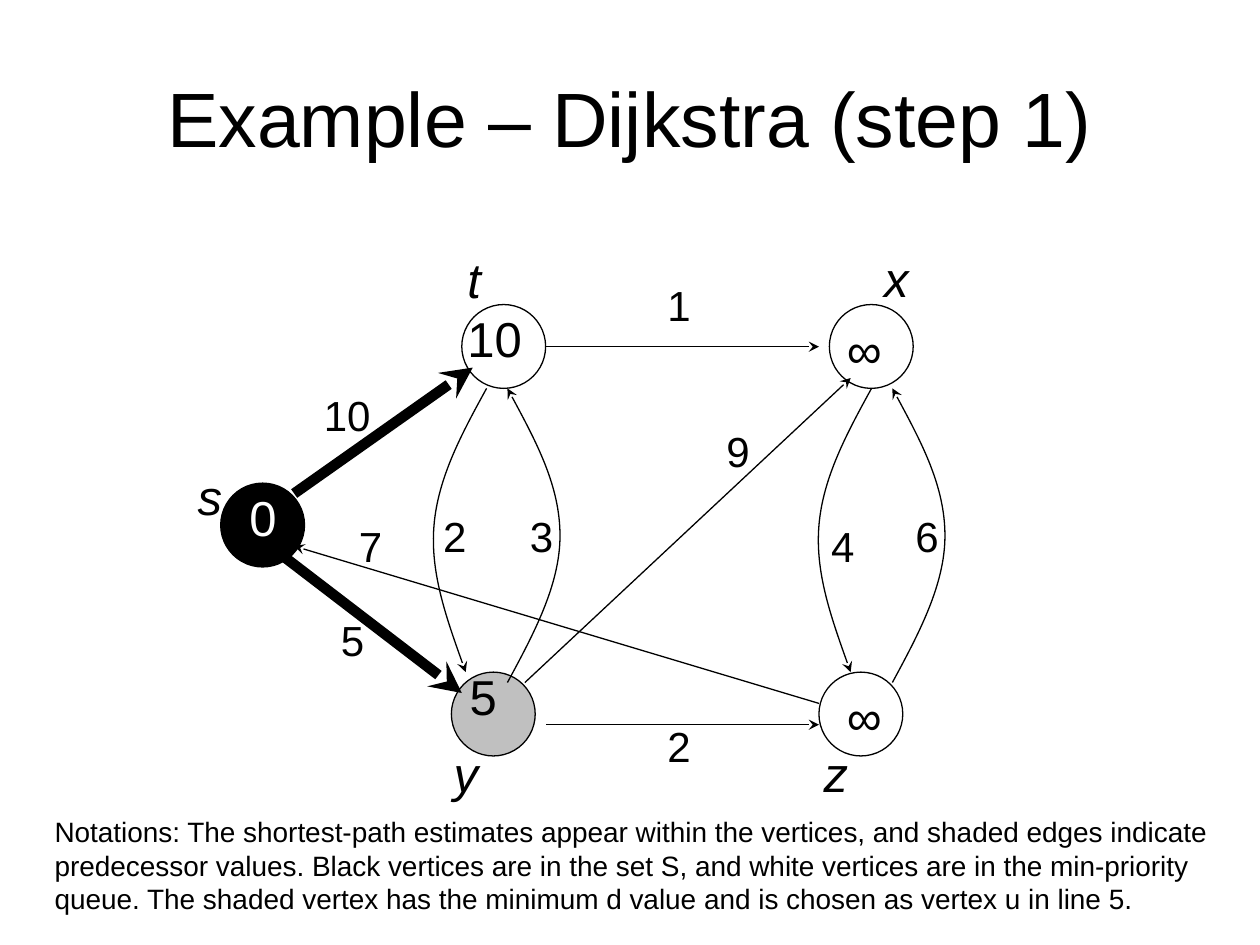
from lxml import etree
from pptx import Presentation
from pptx.dml.color import RGBColor
from pptx.enum import shapes, text
from pptx.oxml.ns import qn
from pptx.util import Cm, Pt

BLACK = RGBColor(0, 0, 0)
WHITE = RGBColor(255, 255, 255)
GREY = RGBColor(0xC0, 0xC0, 0xC0)
FONT = "Arial"
SIZE = 1.69  # vertex diameter, cm
GAP = 7.76  # from the t-y pair of arcs to the x-z pair, cm

NOTE = (
    "Notations: The shortest-path estimates appear within the vertices, and "
    "shaded edges indicate predecessor values. Black vertices are in the set S, "
    "and white vertices are in the min-priority queue. The shaded vertex has the "
    "minimum d value and is chosen as vertex u in line 5."
)
# left, top, fill
NODES = [
    (4.45, 9.74, BLACK),
    (9.31, 6.14, None),
    (9.1, 13.55, GREY),
    (16.72, 6.14, None),
    (16.51, 13.55, None),
]
# from x, from y, to x, to y, width
EDGES = [
    (5.72, 11.22, 9.31, 13.97, 6),
    (5.93, 9.95, 9.53, 7.41, 6),
    (11.01, 14.61, 16.51, 14.61, 0.75),
    (10.58, 13.76, 17.15, 7.62, 0.75),
    (16.51, 14.18, 5.93, 11.01, 0.75),
    (11.01, 6.99, 16.51, 6.99, 0.75),
]
# start point, then control, control and end point of each curve
UP = [(17.99, 13.76), (18.52, 12.78), (19.05, 11.79), (19.05, 10.8),
      (19.05, 9.8), (18.52, 8.81), (17.99, 7.83)]
DOWN = [(17.57, 7.83), (17.07, 8.74), (16.59, 9.63), (16.51, 10.59),
        (16.43, 11.53), (16.79, 12.55), (17.15, 13.55)]
# text, centre x, top
COSTS = [
    ("10", 7, 7.72), ("5", 7.11, 12.27), ("2", 9.17, 10.16),
    ("1", 13.69, 5.51), ("4", 16.99, 10.36), ("9", 14.88, 8.46),
    ("6", 18.69, 10.16), ("2", 13.69, 14.4), ("7", 7.47, 10.36),
    ("3", 10.92, 10.16),
]
NAMES = [("s", 4.23, 9.27), ("t", 9.56, 4.9), ("x", 18.07, 4.88),
         ("y", 9.39, 14.86), ("z", 16.85, 14.86)]
VALUES = [("0", 5.3, 9.7), ("10", 9.97, 6.1), ("5", 9.74, 13.31),
          ("∞", 17.36, 6.32), ("∞", 17.36, 13.72)]


def style(frame, size, color=BLACK, italic=False):
    for run in frame.paragraphs[0].runs:
        font = run.font
        font.name, font.size, font.italic = FONT, Pt(size), italic
        font.color.rgb = color


def stroke(shape, width):
    shape.line.color.rgb = BLACK
    shape.line.width = Pt(width)


def add_head(shape):
    line = shape._element.spPr.find(qn("a:ln"))
    etree.SubElement(line, qn("a:tailEnd"), type="stealth")


def add_title(slide, words):
    title = slide.shapes.title
    title.left, title.top = Cm(1.27), Cm(0.76)
    title.width, title.height = Cm(22.86), Cm(3.18)
    frame = title.text_frame
    frame.text = words
    frame.vertical_anchor = text.MSO_ANCHOR.MIDDLE
    frame.paragraphs[0].alignment = text.PP_ALIGN.CENTER
    style(frame, 44)


def add_node(slide, x, y, fill):
    node = slide.shapes.add_shape(
        shapes.MSO_SHAPE.OVAL, Cm(x), Cm(y), Cm(SIZE), Cm(SIZE))
    node.shadow.inherit = False
    if fill is None:
        node.fill.background()
    else:
        node.fill.solid()
        node.fill.fore_color.rgb = fill
    stroke(node, 0.75)


def add_edge(slide, x1, y1, x2, y2, width):
    edge = slide.shapes.add_connector(
        shapes.MSO_CONNECTOR.STRAIGHT, Cm(x1), Cm(y1), Cm(x2), Cm(y2))
    stroke(edge, width)
    add_head(edge)
    etree.SubElement(edge._element.spPr, qn("a:effectLst"))


def add_arc(slide, points, shift):
    """Draw the points as segments, then turn each three into one Bezier curve."""
    spots = [(Cm(x - shift), Cm(y)) for x, y in points]
    build = slide.shapes.build_freeform(*spots[0])
    build.add_line_segments(spots[1:], close=False)
    arc = build.convert_to_shape()
    route = next(arc._element.iter(qn("a:path")))
    steps = route.findall(qn("a:lnTo"))
    for i in range(0, len(steps), 3):
        curve = etree.SubElement(route, qn("a:cubicBezTo"))
        for step in steps[i:i + 3]:
            curve.append(step[0])
            route.remove(step)
    arc.shadow.inherit = False
    arc.fill.background()
    stroke(arc, 0.75)
    add_head(arc)


def add_label(slide, words, mid, top, size, color=BLACK, italic=False):
    wide = 0.51 + len(words) * size * 0.02
    box = slide.shapes.add_textbox(
        Cm(mid - wide / 2), Cm(top), Cm(wide), Cm(0.25 + size * 0.04))
    frame = box.text_frame
    frame.word_wrap = False
    frame.auto_size = text.MSO_AUTO_SIZE.SHAPE_TO_FIT_TEXT
    frame.text = words
    frame.paragraphs[0].alignment = text.PP_ALIGN.CENTER
    style(frame, size, color, italic)


def add_note(slide, words):
    box = slide.shapes.add_textbox(Cm(0.85), Cm(16.3), Cm(24.55), Cm(2.29))
    frame = box.text_frame
    frame.word_wrap = True
    frame.text = words
    style(frame, 16)


def main():
    deck = Presentation()
    deck.slide_width, deck.slide_height = Cm(25.4), Cm(19.05)
    slide = deck.slides.add_slide(deck.slide_layouts[5])
    add_title(slide, "Example – Dijkstra (step 1)")
    for node in NODES:
        add_node(slide, *node)
    for edge in EDGES:
        add_edge(slide, *edge)
    for shift in (0, GAP):
        add_arc(slide, UP, shift)
        add_arc(slide, DOWN, shift)
    for cost in COSTS:
        add_label(slide, *cost, 24)
    for name in NAMES:
        add_label(slide, *name, 28, italic=True)
    for value, (_, _, fill) in zip(VALUES, NODES):
        pass
    for value in VALUES:
        add_label(slide, *value, 28, WHITE if value[0] == "0" else BLACK)
    add_note(slide, NOTE)
    deck.save("out.pptx")


if __name__ == "__main__":
    main()
